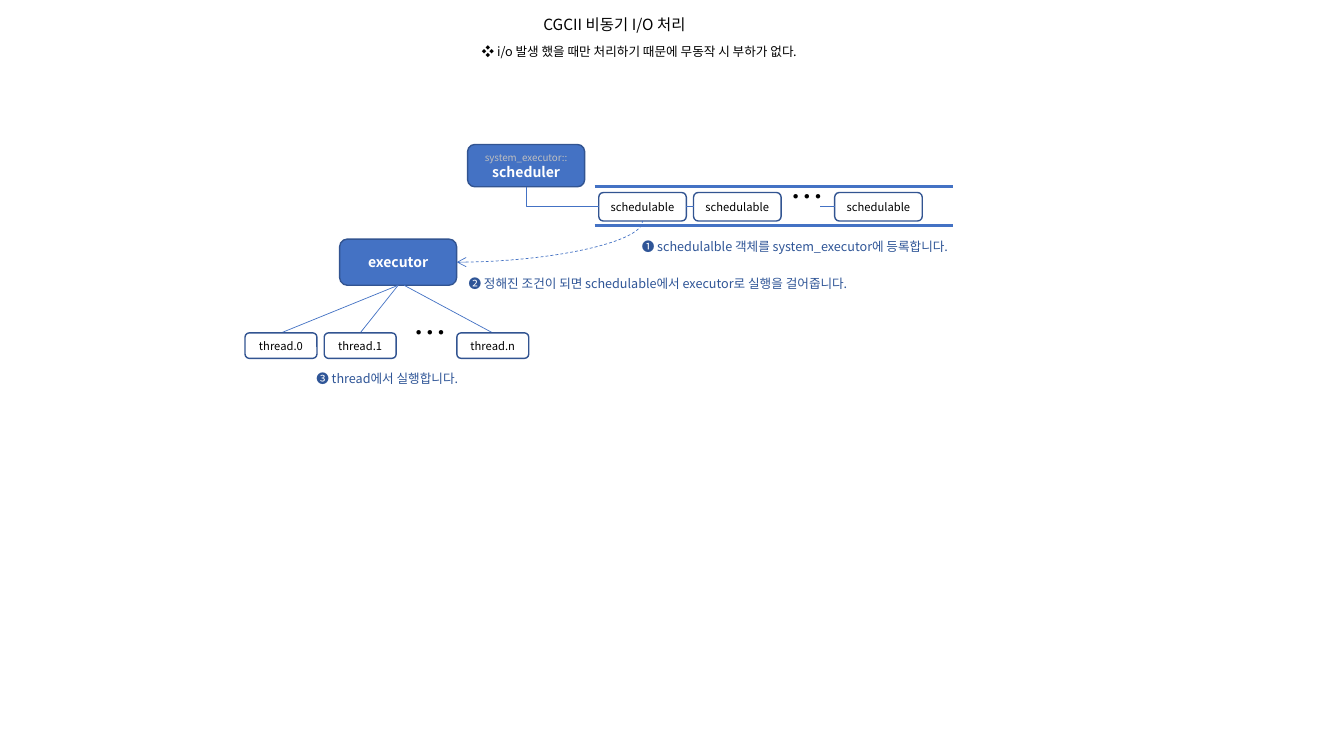
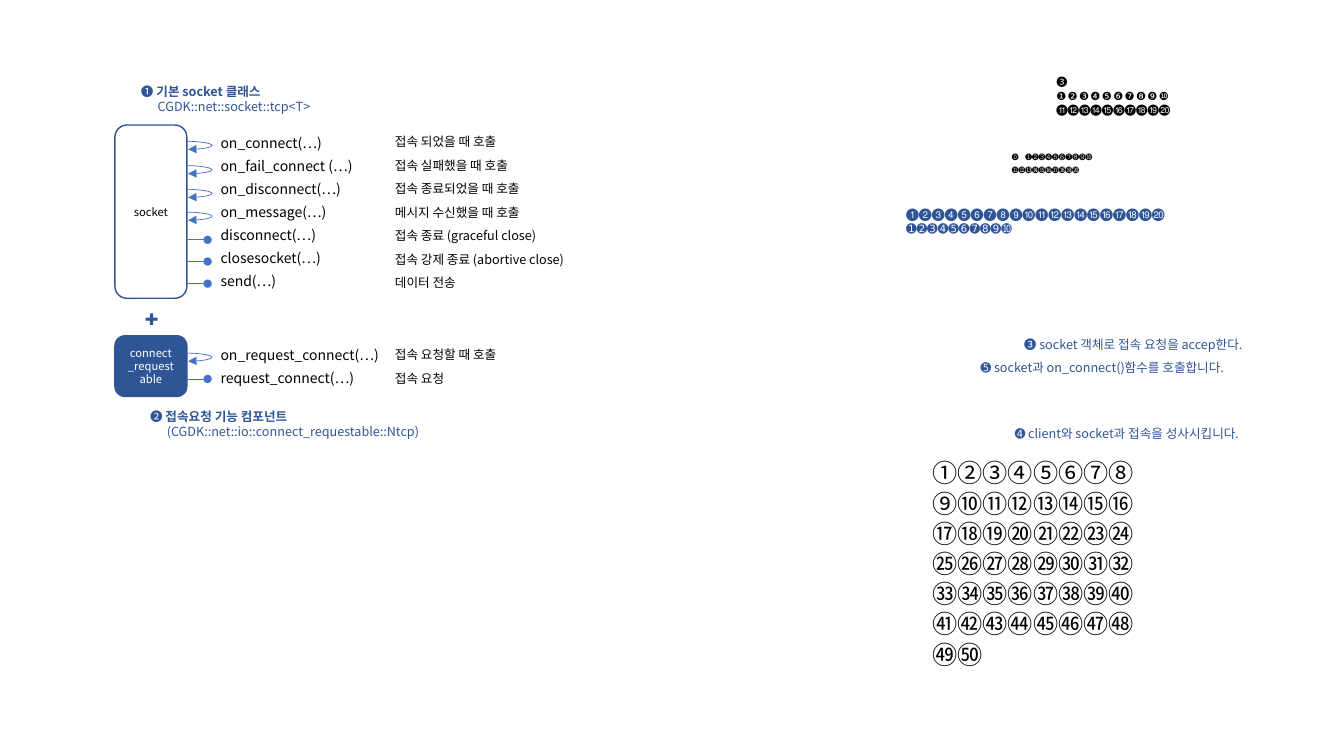
from lxml.etree import SubElement
from pptx import Presentation
from pptx.dml.color import RGBColor
from pptx.enum.dml import MSO_LINE
from pptx.enum.shapes import MSO_CONNECTOR as LINK, MSO_SHAPE
from pptx.enum.text import MSO_ANCHOR, PP_ALIGN
from pptx.oxml.ns import qn
from pptx.util import Pt

KOREAN, SYMBOLS = "Noto Sans CJK KR", "Noto Sans"
BLACK, WHITE, GRAY = "000000", "FFFFFF", "BFBFBF"
BLUE, NAVY, OUTLINE = "4472C4", "2F5597", "325491"
rgb = RGBColor.from_string


def put(slide, box, text, size, color=BLACK, fill=None, font=KOREAN, bold=None, wrap=True):
    """Add text at box (left, top, width, height); a fill makes it a rounded box."""
    area = [Pt(length) for length in box]
    if fill:
        shape = slide.shapes.add_shape(MSO_SHAPE.ROUNDED_RECTANGLE, *area)
        shape.shadow.inherit = False
        shape.fill.solid()
        shape.fill.fore_color.rgb = rgb(fill)
        shape.line.color.rgb = rgb(OUTLINE)
        shape.line.width = Pt(1)
        shape.text_frame.vertical_anchor = MSO_ANCHOR.MIDDLE
    else:
        shape = slide.shapes.add_textbox(*area)
    frame = shape.text_frame
    frame.word_wrap = wrap
    frame.text = text
    for paragraph in frame.paragraphs:
        paragraph.alignment = PP_ALIGN.CENTER if fill else PP_ALIGN.LEFT
        paragraph.font.size = Pt(size)
        paragraph.font.bold = bold
        paragraph.font.name = font
        paragraph.font.color.rgb = rgb(color)
        defaults = paragraph._p.pPr.find(qn("a:defRPr"))
        SubElement(defaults, qn("a:ea")).set("typeface", font)
    return shape


def link(slide, start, end, kind=LINK.STRAIGHT, width=0.5, head=None, tail=None):
    connector = slide.shapes.add_connector(kind, *[Pt(value) for value in (*start, *end)])
    connector.line.color.rgb = rgb(BLUE)
    connector.line.width = Pt(width)
    properties = connector._element.spPr
    for tag, style in (("a:headEnd", head), ("a:tailEnd", tail)):
        if style:
            SubElement(properties.find(qn("a:ln")), qn(tag)).set("type", style)
    SubElement(properties, qn("a:effectLst"))
    return connector


prs = Presentation()
prs.slide_width, prs.slide_height = Pt(960), Pt(540)
blank = prs.slide_layouts[6]

# Slide 1: asynchronous I/O flow
flow = prs.slides.add_slide(blank)
put(flow, (381, 7.2, 142, 21), "CGCII 비동기 I/O 처리", 11)
put(flow, (337, 28, 261, 18), "❖ i/o 발생 했을 때만 처리하기 때문에 무동작 시 부하가 없다.", 9)

executor = put(flow, (242.6, 170.8, 83.6, 33), "executor", 10, WHITE, BLUE, bold=True)
scheduler = put(flow, (334, 103.2, 83.6, 30.2), "system_executor::\nscheduler", 10, WHITE, BLUE, bold=True)
namespace = scheduler.text_frame.paragraphs[0].font
namespace.size, namespace.bold = Pt(7), False
namespace.color.rgb = rgb(GRAY)

queue = [put(flow, (left, 137.5, 62.6, 20.4), "schedulable", 8, fill=WHITE)
         for left in (427.7, 495.4, 596.2)]
for right, left in ((495.4, 490.3), (596.2, 585.4)):
    link(flow, (right, 147.7), (left, 147.7))
for rail in (133.2, 161.3):
    link(flow, (424.8, rail), (680.4, rail), width=2)

for name, left, origin in (("thread.0", 175, 284.4), ("thread.1", 231.6, 284.4), ("thread.n", 326.3, 288.7)):
    link(flow, (origin, 203.8), (left + 25.7, 237.8))
    put(flow, (left, 237.8, 51.4, 18.2), name, 8, fill=WHITE)
for left, top in ((557.3, 122.4), (288, 219.6)):
    put(flow, (left, top, 32.4, 36), "…", 24, wrap=False)

registration = link(flow, (427.7, 147.7), (375.8, 133.4), LINK.ELBOW)
registration.begin_connect(queue[0], 1)
registration.end_connect(scheduler, 2)
registration._element.spPr.prstGeom.set("prst", "bentConnector2")
dispatch = link(flow, (326.2, 187.3), (459, 157.9), LINK.CURVE, head="arrow")
dispatch.line.dash_style = MSO_LINE.DASH
dispatch.begin_connect(executor, 3)
dispatch.end_connect(queue[0], 2)
dispatch._element.spPr.prstGeom.set("prst", "curvedConnector2")

for left, top, width, step in (
    (451.4, 167, 249, "➊ schedulalble 객체를 system_executor에 등록합니다."),
    (327.6, 193.7, 315, "➋ 정해진 조건이 되면 schedulable에서 executor로 실행을 걸어줍니다."),
    (218.9, 261.4, 139, "➌ thread에서 실행합니다."),
):
    put(flow, (left, top, width, 18), step, 9, NAVY)

# Slide 2: socket class and its functions
api = prs.slides.add_slide(blank)
put(api, (82.1, 89.3, 51.4, 123.8), "socket", 8, fill=WHITE)
put(api, (82.1, 239.8, 51.4, 43.4), "connect_requestable", 8, WHITE, NAVY)
put(api, (95.8, 213.1, 33.8, 28.8), "+", 18, NAVY, font="Montserrat", bold=True)

for left, top, width, marker, heading, class_name in (
    (93.6, 56.2, 190, "➊ ", "기본 socket 클래스", "CGDK::net::socket::tcp<T>"),
    (100.1, 288.2, 215, "➋ ", "접속요청 기능 컴포넌트", "(CGDK::net::io::connect_requestable::Ntcp)"),
):
    caption = put(api, (left, top, width, 28.8), f"{marker}\n{class_name}", 9, NAVY)
    first, second = caption.text_frame.paragraphs
    title = first.add_run()
    title.text, title.font.bold = heading, True
    second._p.pPr.set("marL", str(Pt(12)))

# Each function: call, meaning, height of its mark, whether it is a callback
function_groups = (
    (92.2, (
        ("on_connect(…)", "접속 되었을 때 호출", 100.9, True),
        ("on_fail_connect (…)", "접속 실패했을 때 호출", 118.3, True),
        ("on_disconnect(…)", "접속 종료되었을 때 호출", 135.2, True),
        ("on_message(…)", "메시지 수신했을 때 호출", 151.5, True),
        ("disconnect(…)", "접속 종료 (graceful close)", 171.3, False),
        ("closesocket(…)", "접속 강제 종료 (abortive close)", 186.8, False),
        ("send(…)", "데이터 전송", 202.6, False),
    )),
    (244.2, (
        ("on_request_connect(…)", "접속 요청할 때 호출", 252.2, True),
        ("request_connect(…)", "접속 요청", 270.7, False),
    )),
)
for top, functions in function_groups:
    for row, (call, meaning, mark, is_callback) in enumerate(functions):
        put(api, (150.5, top + 16.5 * row, 132.5, 19.4), call, 10)
        put(api, (275, top + 16.8 * row, 176, 18), meaning, 9)
        if is_callback:
            loop = link(api, (133.2, mark), (134.4, mark + 5.8), LINK.CURVE, tail="triangle")
            adjustments = loop._element.spPr.prstGeom.find(qn("a:avLst"))
            bulge = SubElement(adjustments, qn("a:gd"))
            bulge.set("name", "adj1")
            bulge.set("fmla", "val 1539000")
        else:
            link(api, (133.2, mark), (148.3, mark), tail="oval")

put(api, (724.3, 236.9, 186, 18), "➌ socket 객체로 접속 요청을 accep한다.", 9, NAVY)
for left, top, marker, step in (
    (693.4, 253.4, "➎", " socket과 on_connect()함수를 호출합니다."),
    (717.8, 301, "➍", " client와 socket과 접속을 성사시킵니다."),
):
    note = put(api, (left, top, 216, 18), marker, 9, NAVY).text_frame.paragraphs[0]
    note.runs[0].font.name = SYMBOLS
    note.add_run().text = step

# Numeral palettes
badges = put(api, (747.4, 50.4, 102.2, 36), "➌", 8, font=SYMBOLS).text_frame.paragraphs[0]
badges.runs[0].font.name = KOREAN
badges.add_run().text = " ❶❷❸❹❺❻❼❽❾❿⓫⓬⓭⓮⓯⓰⓱⓲⓳⓴"
put(api, (715.7, 102.2, 121.7, 26.6), "⓿ ❶❷❸❹❺❻❼❽❾❿ ⓫⓬⓭⓮⓯⓰⓱⓲⓳⓴", 8, font="Courier New")
put(api, (640.1, 143.3, 254.9, 61.9), "❶❷❸❹❺❻❼❽❾❿⓫⓬⓭⓮⓯⓰⓱⓲⓳⓴\n➊➋➌➍➎➏➐➑➒➓", 9, NAVY, font=SYMBOLS)
put(api, (658.8, 323.3, 166.3, 159.8),
    "①②③④⑤⑥⑦⑧⑨⑩⑪⑫⑬⑭⑮⑯⑰⑱⑲⑳㉑㉒㉓㉔㉕㉖㉗㉘㉙㉚㉛㉜㉝㉞㉟㊱㊲㊳㊴㊵㊶㊷㊸㊹㊺㊻㊼㊽㊾㊿",
    18, font=SYMBOLS)

prs.save("out.pptx")
